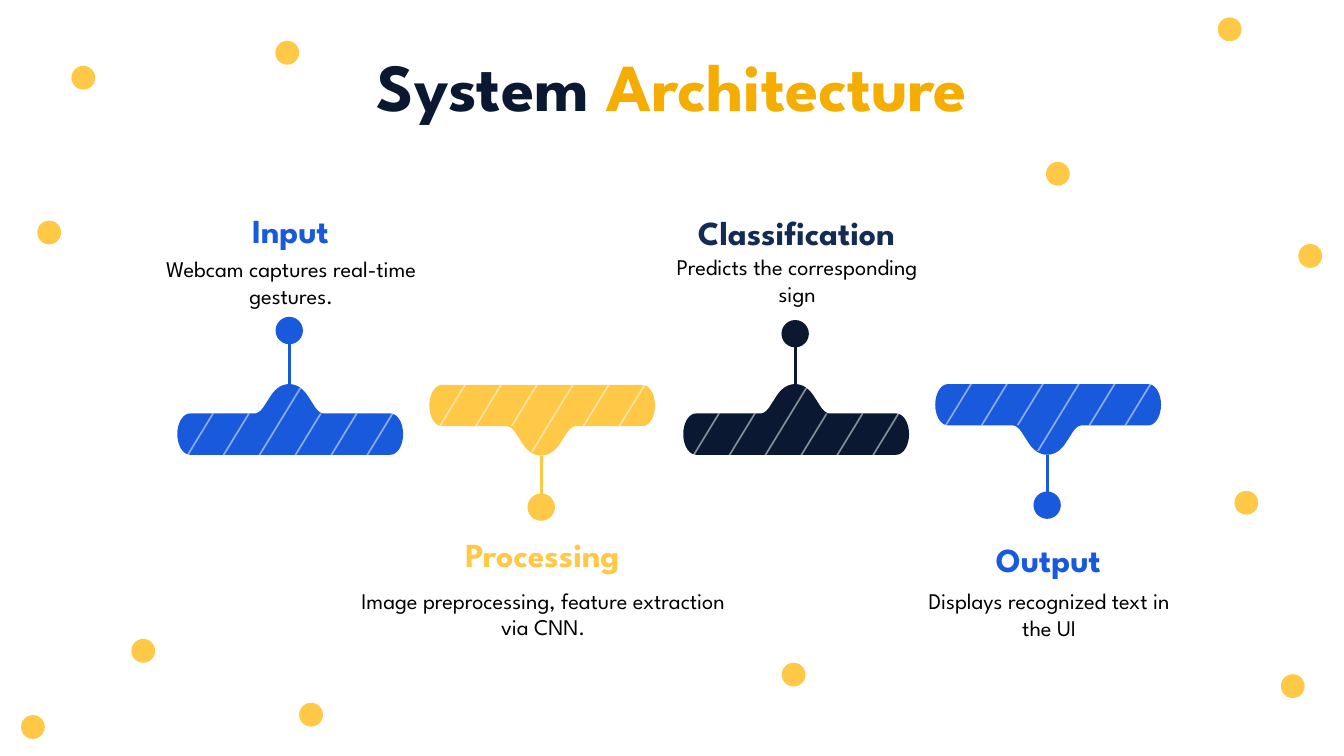
import math
from dataclasses import dataclass

from lxml import etree
from pptx import Presentation
from pptx.dml.color import RGBColor
from pptx.enum import shapes, text
from pptx.oxml.ns import qn
from pptx.util import Cm, Pt

YELLOW = RGBColor(0xFF, 0xC9, 0x47)
AMBER = RGBColor(0xF4, 0xAD, 0x00)
BLUE = RGBColor(0x18, 0x5A, 0xDB)
NAVY = RGBColor(0x0A, 0x19, 0x31)
INDIGO = RGBColor(0x12, 0x2C, 0x56)
BLACK = RGBColor(0, 0, 0)
WHITE = RGBColor(0xFF, 0xFF, 0xFF)
FONT = "League Spartan"

# Bar measures in centimetres
BAR_WIDTH, BAR_HEIGHT, BUMP = 5.69, 1.78, 0.74
BUMP_CENTRE = 2.82
CAP_X, CAP_Y = 0.32, 0.52
STRIPES, STRIPE_START, STRIPE_STEP = 6, 0.24, 0.905
STRIPE_WIDTH, STRIPE_SLANT, STRIPE_MARGIN = 0.05, 0.61, 0.1

SCATTER = [(1.24, 5.86), (7.24, 1.33), (2.1, 1.96), (3.61, 16.4), (7.84, 18.01),
           (26.66, 4.38), (30.99, 0.74), (33.02, 6.45), (32.58, 17.29),
           (0.83, 18.32), (31.41, 12.67), (20, 17)]


@dataclass
class Stage:
    """One step of the flow; all positions are in centimetres."""
    heading: str
    body: str
    colour: RGBColor
    heading_colour: RGBColor
    left: float
    top: float
    upward: bool
    dot_y: float
    heading_top: float
    body_top: float
    body_width: float = 6.85


STAGES = [
    Stage("Input", "Webcam captures real-time gestures.", BLUE, BLUE,
          4.47, 9.68, True, 8.33, 5.16, 6.3),
    Stage("Processing", "Image preprocessing, feature extraction via CNN.",
          YELLOW, YELLOW, 10.82, 9.7, False, 12.78, 13.34, 14.66, 10.1),
    Stage("Classification", "Predicts the corresponding sign", NAVY, INDIGO,
          17.22, 9.68, True, 8.41, 5.21, 6.25),
    Stage("Output", "Displays recognized text in the UI", BLUE, BLUE,
          23.57, 9.68, False, 12.73, 13.46, 14.68),
]


def paint(shape, colour):
    shape.shadow.inherit = False
    shape.fill.solid()
    shape.fill.fore_color.rgb = colour
    shape.line.fill.background()


def add_dot(page, x, y, size, colour):
    dot = page.shapes.add_shape(shapes.MSO_SHAPE.OVAL, Cm(x - size / 2),
                                Cm(y - size / 2), Cm(size), Cm(size))
    paint(dot, colour)


def add_outline(page, contours, left, top, colour):
    """Draw closed contours, given in centimetres from left and top."""
    contours = [[(Cm(left + x), Cm(top + y)) for x, y in contour]
                for contour in contours]
    builder = page.shapes.build_freeform(*contours[0][0], scale=1.0)
    for number, contour in enumerate(contours):
        if number:
            builder.move_to(*contour[0])
        builder.add_line_segments(contour[1:], close=True)
    outline = builder.convert_to_shape()
    paint(outline, colour)
    return outline


def curve(start, first, second, end, steps=10):
    """Points along a cubic curve."""
    points = []
    for step in range(steps + 1):
        t = step / steps
        weights = ((1 - t) ** 3, 3 * t * (1 - t) ** 2, 3 * t * t * (1 - t), t ** 3)
        points.append(tuple(sum(w * p[axis] for w, p in
                                zip(weights, (start, first, second, end)))
                            for axis in (0, 1)))
    return points


def bar_contour(upward):
    """Rounded bar with a bump on its upper or lower edge."""
    rise = (curve((-0.88, BUMP), (-0.8, BUMP), (-0.73, 0.69), (-0.65, 0.58))
            + curve((-0.47, 0.3), (-0.34, 0.1), (-0.18, 0), (0, 0)))
    bump = rise + [(-x, y) for x, y in reversed(rise[:-1])]
    contour = [(BUMP_CENTRE + x, y) for x, y in bump]
    for centre, start in ((BAR_WIDTH - CAP_X, -90), (CAP_X, 90)):
        for degrees in range(start, start + 181, 10):
            angle = math.radians(degrees)
            contour.append((centre + CAP_X * math.cos(angle),
                            BUMP + CAP_Y * (1 + math.sin(angle))))
    return contour if upward else [(x, BAR_HEIGHT - y) for x, y in contour]


def stripe_contours(upward):
    """Slanted stripes, of which one runs on into the bump."""
    body_top = BUMP if upward else 0
    body_bottom = body_top + BAR_HEIGHT - BUMP
    contours = []
    for number in range(STRIPES):
        foot = STRIPE_START + number * STRIPE_STEP
        high, low = body_top, body_bottom
        if upward and number == 2:
            high = STRIPE_MARGIN
        if not upward and number == 3:
            low = BAR_HEIGHT - STRIPE_MARGIN
        upper = foot + (body_bottom - high) * STRIPE_SLANT
        lower = foot + (body_bottom - low) * STRIPE_SLANT
        contours.append([(upper, high), (upper + STRIPE_WIDTH, high),
                         (lower + STRIPE_WIDTH, low), (lower, low)])
    return contours


def style(span, **formats):
    colour = formats.pop("colour")
    for name, value in {"name": FONT, **formats}.items():
        setattr(span.font, name, value)
    span.font.color.rgb = colour


def add_caption(page, words, centre, top, width, height, wrap, **formats):
    box = page.shapes.add_textbox(Cm(centre - width / 2), Cm(top),
                                  Cm(width), Cm(height))
    box.text_frame.word_wrap = wrap
    para = box.text_frame.paragraphs[0]
    para.alignment = text.PP_ALIGN.CENTER
    span = para.add_run()
    span.text = words
    style(span, **formats)


def add_stage(page, stage):
    centre = stage.left + BUMP_CENTRE
    peak = stage.top if stage.upward else stage.top + BAR_HEIGHT
    stem = page.shapes.add_connector(shapes.MSO_CONNECTOR.STRAIGHT, Cm(centre),
                                     Cm(peak), Cm(centre), Cm(stage.dot_y))
    stem.line.color.rgb = stage.colour
    stem.line.width = Pt(2.25)
    etree.SubElement(stem.element.spPr, qn("a:effectLst"))
    add_dot(page, centre, stage.dot_y, 0.69, stage.colour)

    add_outline(page, [bar_contour(stage.upward)], stage.left, stage.top,
                stage.colour)
    stripes = add_outline(page, stripe_contours(stage.upward), stage.left,
                          stage.top, WHITE)
    tint = stripes.element.spPr.find(qn("a:solidFill")).find(qn("a:srgbClr"))
    etree.SubElement(tint, qn("a:alpha"), val="50000")

    add_caption(page, stage.heading, centre + 0.03, stage.heading_top, 6.2, 1.27,
                False, size=Pt(24), bold=True, colour=stage.heading_colour)
    add_caption(page, stage.body, centre + 0.05, stage.body_top, stage.body_width,
                1.63, True, size=Pt(16), colour=BLACK)


def add_title(page, left, top, width, height):
    title = page.shapes.title
    title.left, title.top, title.width, title.height = map(
        Cm, (left, top, width, height))
    frame = title.text_frame
    for name, value in {"word_wrap": False,
                        "auto_size": text.MSO_AUTO_SIZE.NONE,
                        "vertical_anchor": text.MSO_ANCHOR.TOP}.items():
        setattr(frame, name, value)
    para = frame.paragraphs[0]
    para.alignment = text.PP_ALIGN.CENTER
    for words, colour in (("System ", NAVY), ("Architecture", AMBER)):
        span = para.add_run()
        span.text = words
        style(span, size=Pt(48), bold=True, colour=colour)


def main():
    deck = Presentation()
    deck.slide_width, deck.slide_height = Cm(33.87), Cm(19.05)
    page = deck.slides.add_slide(deck.slide_layouts[5])
    add_title(page, 8.23, 0.99, 17.42, 2.31)
    for x, y in SCATTER:
        add_dot(page, x, y, 0.6, YELLOW)
    for stage in STAGES:
        add_stage(page, stage)
    deck.save("out.pptx")


if __name__ == "__main__":
    main()
